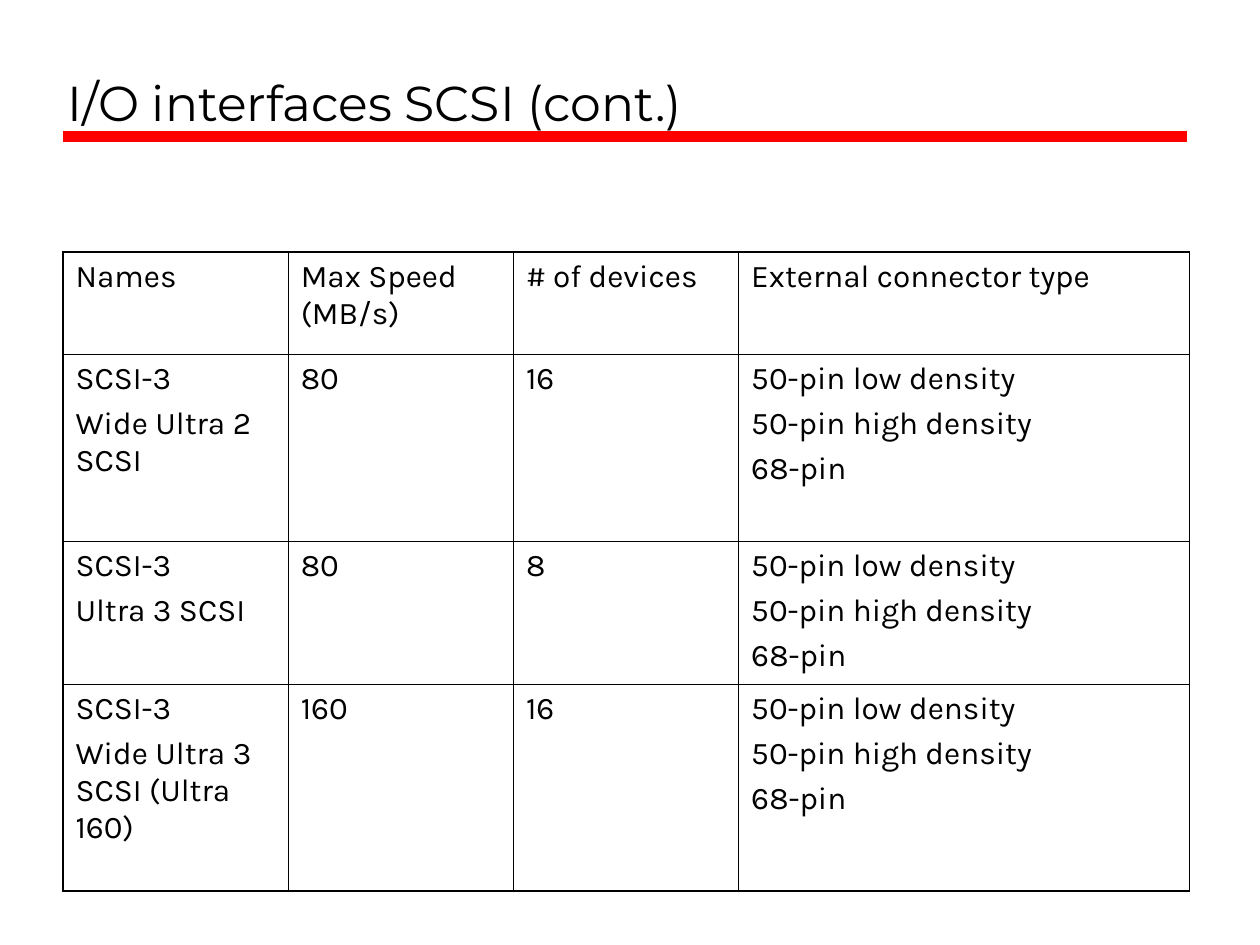
"""Build the slide on SCSI interfaces: a ruled title and a comparison table."""
from lxml.etree import SubElement
from pptx import Presentation
from pptx.dml.color import RGBColor
from pptx.enum.shapes import MSO_CONNECTOR as CONN
from pptx.enum.text import MSO_ANCHOR as ANCHOR
from pptx.oxml.ns import qn
from pptx.util import Cm, Pt

BLACK = RGBColor(0, 0, 0)
RED = RGBColor(255, 0, 0)
THIN, THICK = Pt(0.45), Pt(1.08)

CONNECTORS = "50-pin low density\n50-pin high density\n68-pin"
ROWS = [
    ("Names", "Max Speed (MB/s)", "# of devices", "External connector type"),
    ("SCSI-3\nWide Ultra 2 SCSI", "80", "16", CONNECTORS),
    ("SCSI-3\nUltra 3 SCSI", "80", "8", CONNECTORS),
    ("SCSI-3\nWide Ultra 3 SCSI (Ultra 160)", "160", "16", CONNECTORS),
]
WIDTHS = [4.54, 4.54, 4.54, 9.09]
HEIGHTS = [2.06, 3.78, 2.87, 4.17]


def write(tf, text, font="Karla", size=18, color=BLACK, before=4.5):
    tf.word_wrap = True
    for i, line in enumerate(text.split("\n")):
        p = tf.add_paragraph() if i else tf.paragraphs[0]
        p.space_before = Pt(before if i else 0)
        r = p.add_run()
        r.text = line
        r.font.name, r.font.size = font, Pt(size)
        r.font.color.rgb = color


def border(cell, side, width):
    ln = SubElement(cell._tc.get_or_add_tcPr(), qn(f"a:ln{side}"), w=str(width))
    fill = SubElement(ln, qn("a:solidFill"))
    SubElement(fill, qn("a:srgbClr"), val=str(BLACK))


prs = Presentation()
prs.slide_width, prs.slide_height = Cm(25.4), Cm(19.05)
s = prs.slides.add_slide(prs.slide_layouts[6])

rule = s.shapes.add_connector(CONN.STRAIGHT, Cm(1.27), Cm(2.75), Cm(23.92), Cm(2.75))
rule.line.color.rgb = RED
rule.line.width = Pt(6)
SubElement(rule._element.spPr, qn("a:effectLst"))

sp = s.shapes.add_textbox(Cm(1.12), Cm(0.43), Cm(22.78), Cm(2.34))
sp.text_frame.vertical_anchor = ANCHOR.BOTTOM
write(sp.text_frame, "I/O interfaces SCSI (cont.)", font="Montserrat", size=28)

table = s.shapes.add_table(len(ROWS), len(WIDTHS), Cm(1.27), Cm(5.08),
                           Cm(sum(WIDTHS)), Cm(sum(HEIGHTS))).table
table.first_row = table.horz_banding = False
for col, width in zip(table.columns, WIDTHS):
    col.width = Cm(width)
for row, height in zip(table.rows, HEIGHTS):
    row.height = Cm(height)

last_row, last_col = len(ROWS) - 1, len(WIDTHS) - 1
for i, texts in enumerate(ROWS):
    for j, text in enumerate(texts):
        cell = table.cell(i, j)
        write(cell.text_frame, text)
        outer = {"L": j == 0, "R": j == last_col, "T": i == 0, "B": i == last_row}
        for side, is_outer in outer.items():
            border(cell, side, THICK if is_outer else THIN)
        cell.fill.background()

prs.save("out.pptx")
